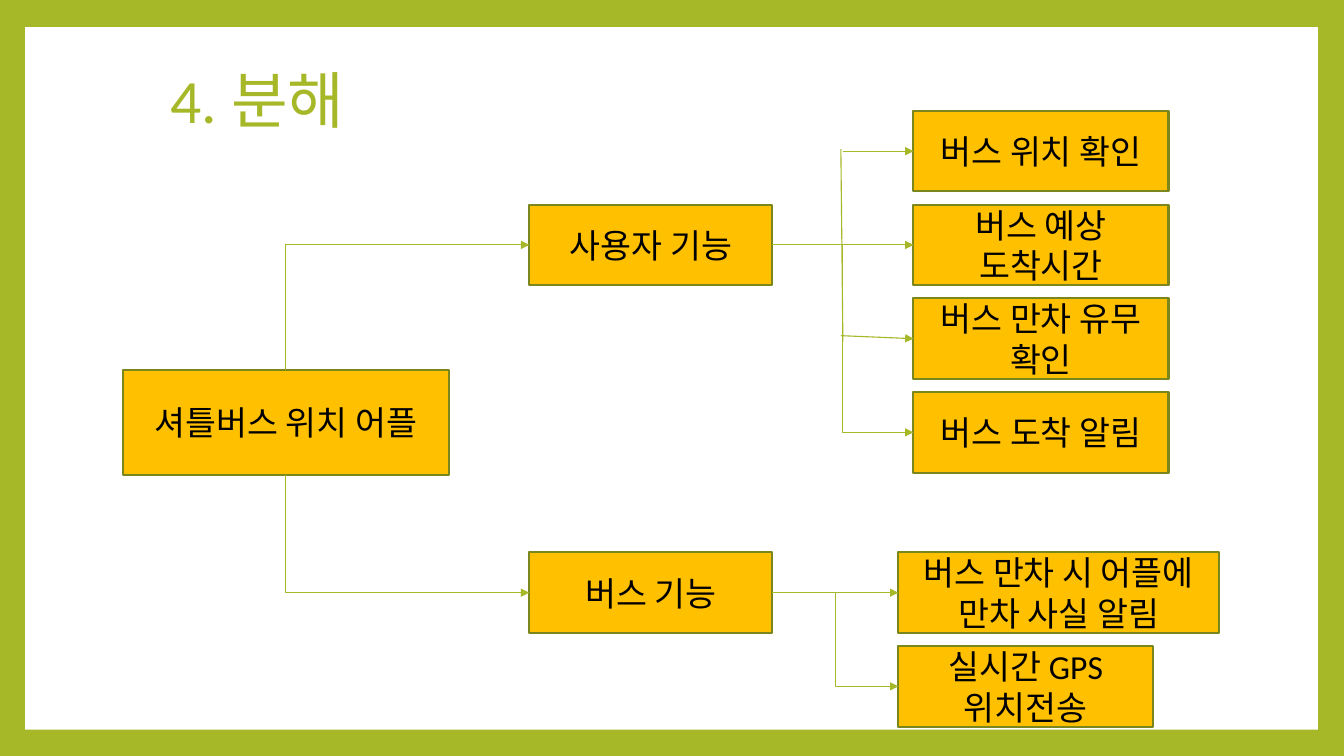
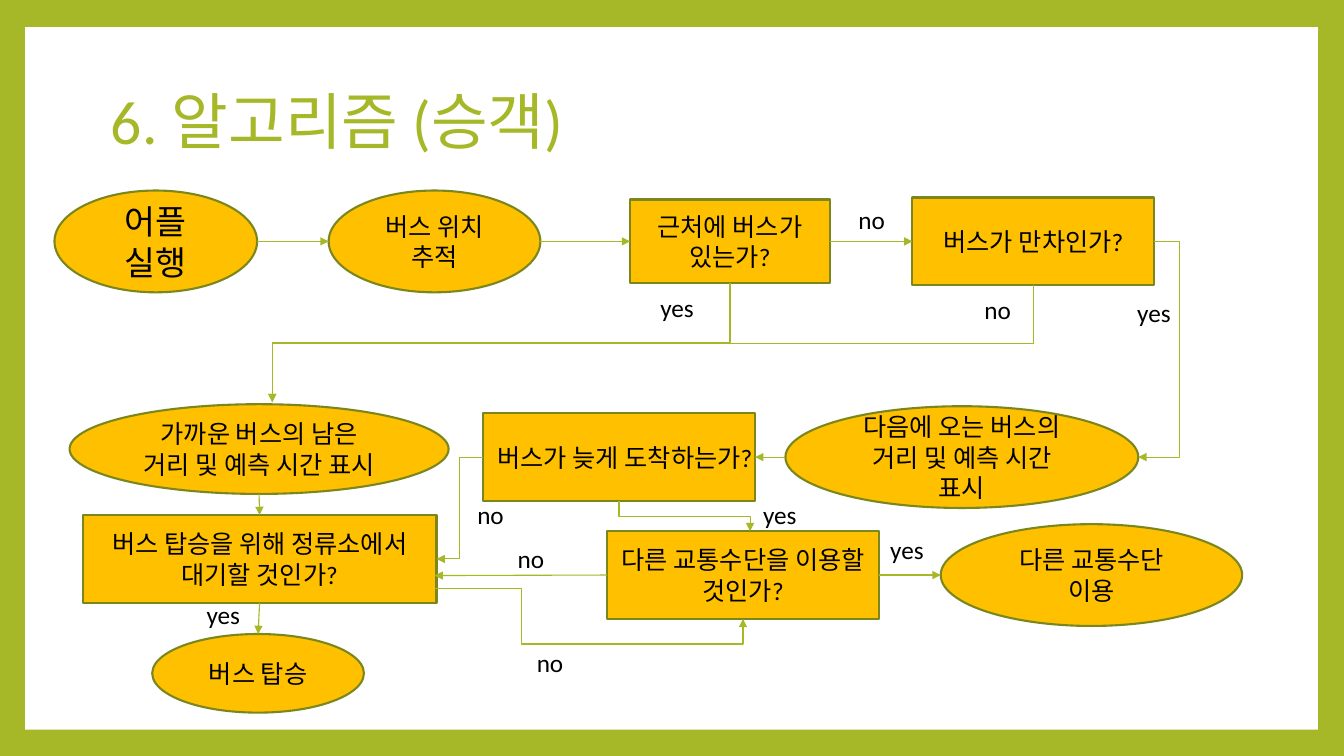
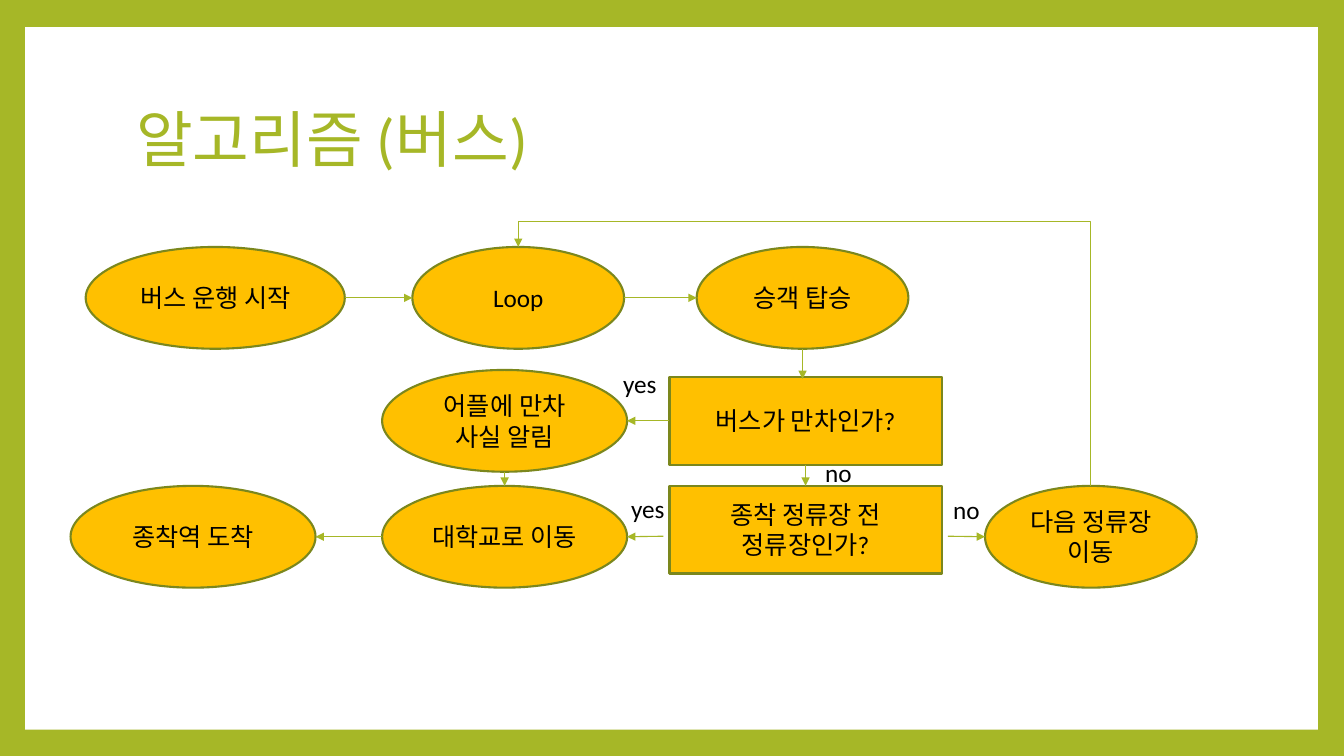
from collections import namedtuple

from lxml import etree
from pptx import Presentation
from pptx import util as u
from pptx.dml.color import RGBColor
from pptx.enum import shapes, text
from pptx.oxml.ns import qn

COLORS = {
    "green": "A6B727",
    "olive": "7B871D",
    "amber": "FFC000",
    "black": "000000",
    "white": "FFFFFF",
}
FONT = "Calibri"
RECT = shapes.MSO_SHAPE.RECTANGLE
OVAL = shapes.MSO_SHAPE.OVAL
SIDES = {"top": (0.5, 0), "left": (0, 0.5), "bottom": (0.5, 1), "right": (1, 0.5)}
Port = namedtuple("Port", "x y side shape", defaults=(None, None))


def color(name):
    return RGBColor.from_string(COLORS[name])


def box(left, top, width, height):
    return [u.Inches(value) for value in (left, top, width, height)]


def paint(fill, name):
    fill.solid()
    fill.fore_color.rgb = color(name)


def write(shape, content, size, color_name, alignment):
    frame = shape.text_frame
    frame.text = content
    frame.word_wrap = True
    frame.auto_size = text.MSO_AUTO_SIZE.NONE
    frame.vertical_anchor = text.MSO_ANCHOR.MIDDLE
    paragraph = frame.paragraphs[0]
    paragraph.alignment = alignment
    paragraph.font.name = FONT
    paragraph.font.size = u.Pt(size)
    paragraph.font.color.rgb = color(color_name)
    return paragraph


def add_titled_slide(presentation, title, *place):
    slide = presentation.slides.add_slide(presentation.slide_layouts[5])
    shape = slide.shapes.title
    shape.left, shape.top, shape.width, shape.height = box(*place)
    paragraph = write(shape, title, 44, "green", text.PP_ALIGN.LEFT)
    paragraph.line_spacing = 0.9
    return slide


def add_node(slide, kind, content, *place, size=18):
    node = slide.shapes.add_shape(kind, *box(*place))
    node.shadow.inherit = False
    paint(node.fill, "amber")
    node.line.color.rgb = color("olive")
    node.line.width = u.Pt(1.5)
    write(node, content, size, "black", text.PP_ALIGN.CENTER)
    return node


def add_labels(slide, labels):
    for content, left, top in labels:
        label = slide.shapes.add_textbox(*box(left, top, 0.71, 0.39))
        write(label, content, 18, "black", text.PP_ALIGN.CENTER)


def port(shape, side):
    across, down = SIDES[side]
    return Port(shape.left.inches + across * shape.width.inches,
                shape.top.inches + down * shape.height.inches, side, shape)


def attach(connector, tag, end):
    if end.shape is None:
        return
    site = list(SIDES).index(end.side)
    if end.shape.auto_shape_type == OVAL:
        site *= 2
    properties = connector.element.find(".//" + qn("p:cNvCxnSpPr"))
    etree.SubElement(properties, qn(tag), id=str(end.shape.shape_id), idx=str(site))


def add_line(slide, start, end, kind=shapes.MSO_CONNECTOR.STRAIGHT, arrow=True):
    ends = [u.Inches(value) for value in (start.x, start.y, end.x, end.y)]
    connector = slide.shapes.add_connector(kind, *ends)
    connector.line.color.rgb = color("green")
    connector.line.width = u.Pt(0.79)
    properties = connector.element.spPr
    if arrow:
        etree.SubElement(properties.find(qn("a:ln")), qn("a:tailEnd"), type="triangle")
    etree.SubElement(properties, qn("a:effectLst"))
    attach(connector, "a:stCxn", start)
    attach(connector, "a:endCxn", end)
    return connector


def add_elbow(slide, start, end, *bends):
    connector = add_line(slide, start, end, shapes.MSO_CONNECTOR.ELBOW)
    dx, dy = end.x - start.x, end.y - start.y
    upright = start.side in ("top", "bottom")
    turned = upright != (end.side in ("top", "bottom"))
    segments = 4 if len(bends) == 2 else 2 if turned else 3
    properties = connector.element.spPr
    geometry = properties.find(qn("a:prstGeom"))
    geometry.set("prst", f"bentConnector{segments}")

    axes = [(start.x, dx), (start.y, dy)]
    if upright:
        axes.reverse()
        center_x, center_y = (start.x + end.x) / 2, (start.y + end.y) / 2
        width, height = abs(dy), abs(dx)
        connector.left, connector.top, connector.width, connector.height = box(
            center_x - width / 2, center_y - height / 2, width, height)
        frame = properties.find(qn("a:xfrm"))
        frame.set("rot", str((270 if dx * dy > 0 else 90) * 60000))
        frame.set("flipH", str(int(dx > 0)))
        frame.set("flipV", str(int(dy < 0)))

    guides = geometry.find(qn("a:avLst"))
    if guides is None:
        guides = etree.SubElement(geometry, qn("a:avLst"))
    for number, (bend, (origin, length)) in enumerate(zip(bends, axes), 1):
        share = round((bend - origin) / length * 100000)
        etree.SubElement(guides, qn("a:gd"), name=f"adj{number}", fmla=f"val {share}")


def link(slide, start, start_side, end, end_side):
    add_line(slide, port(start, start_side), port(end, end_side))


def style_master(presentation, slide):
    master = presentation.slide_master
    paint(master.background.fill, "green")
    panel = slide.shapes.add_shape(RECT, *box(0.25, 0.27, 12.82, 6.97))
    panel.shadow.inherit = False
    paint(panel.fill, "white")
    panel.line.fill.background()
    master.element.cSld.spTree.insert(2, panel.element)


def build_breakdown(presentation):
    slide = add_titled_slide(presentation, "4. 분해", 1.59, 0.45, 10.5, 1.15)
    style_master(presentation, slide)
    app = add_node(slide, RECT, "셔틀버스 위치 어플", 1.22, 3.67, 3.23, 1.04, size=24)
    user, bus = [add_node(slide, RECT, content, 5.25, top, 2.41, 0.8, size=24)
                 for content, top in (("사용자 기능", 2.03), ("버스 기능", 5.48))]
    leaves = ("버스 위치 확인", "버스 예상 도착시간", "버스 만차 유무 확인", "버스 도착 알림")
    position, arrival, full, alarm = [
        add_node(slide, RECT, content, 9.06, 1.1 + 0.93 * row, 2.53, 0.8, size=24)
        for row, content in enumerate(leaves)]
    notice = add_node(slide, RECT, "버스 만차 시 어플에 만차 사실 알림",
                      8.91, 5.48, 3.18, 0.8, size=24)
    sending = add_node(slide, RECT, "실시간 GPS 위치전송", 8.91, 6.41, 2.53, 0.8, size=24)

    add_elbow(slide, port(app, "top"), port(user, "left"))
    add_elbow(slide, port(app, "bottom"), port(bus, "left"))
    link(slide, bus, "right", notice, "left")
    link(slide, user, "right", arrival, "left")
    add_line(slide, Port(8.36, 3.39), Port(8.34, 1.48), arrow=False)
    add_line(slide, Port(8.36, 1.5), port(position, "left"))
    add_line(slide, Port(8.34, 3.33), port(full, "left"))
    add_elbow(slide, port(user, "right"), port(alarm, "left"))
    add_elbow(slide, port(bus, "right"), port(sending, "left"))


def build_passenger_flow(presentation):
    slide = add_titled_slide(presentation, "6. 알고리즘 (승객)", 1, 0.5, 10.8, 1.48)
    launch = add_node(slide, OVAL, "어플 실행", 0.54, 1.89, 2.01, 1.01, size=24)
    tracking = add_node(slide, OVAL, "버스 위치 추적", 3.26, 1.89, 2.1, 1.01)
    nearby = add_node(slide, RECT, "근처에 버스가 있는가?", 6.25, 1.98, 1.98, 0.83)
    full = add_node(slide, RECT, "버스가 만차인가?", 9.05, 1.96, 2.4, 0.87)
    following = add_node(slide, OVAL, "다음에 오는 버스의 거리 및 예측 시간 표시",
                         7.79, 4.03, 3.5, 1.01)
    late = add_node(slide, RECT, "버스가 늦게 도착하는가?", 4.79, 4.1, 2.7, 0.87)
    nearest = add_node(slide, OVAL, "가까운 버스의 남은 거리 및 예측 시간 표시",
                       0.69, 4.01, 3.76, 0.89)
    waiting = add_node(slide, RECT, "버스 탑승을 위해 정류소에서 대기할 것인가?",
                       0.82, 5.11, 3.51, 0.87)
    boarding = add_node(slide, OVAL, "버스 탑승", 1.51, 6.29, 2.1, 0.78)
    other = add_node(slide, RECT, "다른 교통수단을 이용할 것인가?", 6.02, 5.27, 2.7, 0.87)
    leaving = add_node(slide, OVAL, "다른 교통수단 이용", 9.33, 5.2, 2.99, 1.01)

    link(slide, launch, "right", tracking, "left")
    link(slide, tracking, "right", nearby, "left")
    link(slide, nearby, "right", full, "left")
    link(slide, following, "left", late, "right")
    link(slide, nearest, "bottom", waiting, "top")
    link(slide, waiting, "bottom", boarding, "top")
    link(slide, other, "right", leaving, "left")
    add_line(slide, port(other, "left"), Port(4.31, 5.71))
    for question in (full, nearby):
        add_elbow(slide, port(question, "bottom"), Port(2.7, 3.99, "top"))
    add_elbow(slide, port(full, "right"), port(following, "right"), 11.7)
    add_elbow(slide, port(late, "bottom"), Port(7.44, 5.27, "top"))
    add_elbow(slide, port(late, "left"), port(waiting, "right"))
    add_elbow(slide, Port(4.31, 5.84, "right"), port(other, "bottom"), 5.17, 6.39)
    add_labels(slide, [
        ("yes", 11.09, 2.9), ("no", 9.54, 2.87), ("yes", 6.36, 2.85),
        ("no", 8.29, 1.98), ("yes", 7.38, 4.91), ("no", 4.51, 4.91),
        ("no", 4.91, 5.34), ("yes", 1.86, 5.9), ("no", 5.1, 6.38),
        ("yes", 8.64, 5.26),
    ])


def build_bus_flow(presentation):
    slide = add_titled_slide(presentation, "알고리즘 (버스)", 1.25, 0.67, 10.8, 1.48)
    start = add_node(slide, OVAL, "버스 운행 시작", 0.85, 2.45, 2.57, 1.01)
    loop = add_node(slide, OVAL, "Loop", 4.09, 2.45, 2.1, 1.01)
    boarding = add_node(slide, OVAL, "승객 탑승", 6.91, 2.45, 2.1, 1.01)
    full = add_node(slide, RECT, "버스가 만차인가?", 6.64, 3.74, 2.7, 0.87)
    notice = add_node(slide, OVAL, "어플에 만차 사실 알림", 3.79, 3.67, 2.43, 1.01)
    campus = add_node(slide, OVAL, "대학교로 이동", 3.79, 4.82, 2.43, 1.01)
    terminal = add_node(slide, OVAL, "종착역 도착", 0.7, 4.82, 2.43, 1.01)
    last_stop = add_node(slide, RECT, "종착 정류장 전 정류장인가?", 6.64, 4.82, 2.7, 0.87)
    next_stop = add_node(slide, OVAL, "다음 정류장 이동", 9.77, 4.82, 2.1, 1.01)

    link(slide, start, "right", loop, "left")
    link(slide, loop, "right", boarding, "left")
    link(slide, full, "left", notice, "right")
    link(slide, notice, "bottom", campus, "top")
    link(slide, full, "bottom", last_stop, "top")
    link(slide, campus, "left", terminal, "right")
    add_line(slide, port(boarding, "bottom"), Port(7.96, 3.76))
    add_line(slide, Port(9.4, 5.32), port(next_stop, "left"))
    add_line(slide, Port(6.58, 5.32), port(campus, "right"))
    add_elbow(slide, port(next_stop, "top"), port(loop, "top"), 2.2)
    add_labels(slide, [("yes", 5.99, 3.61), ("yes", 6.07, 4.85),
                       ("no", 9.23, 4.86), ("no", 7.96, 4.49)])


def main():
    presentation = Presentation()
    presentation.slide_width = u.Inches(13.33)
    presentation.slide_height = u.Inches(7.5)
    build_breakdown(presentation)
    build_passenger_flow(presentation)
    build_bus_flow(presentation)
    presentation.save("out.pptx")


main()
